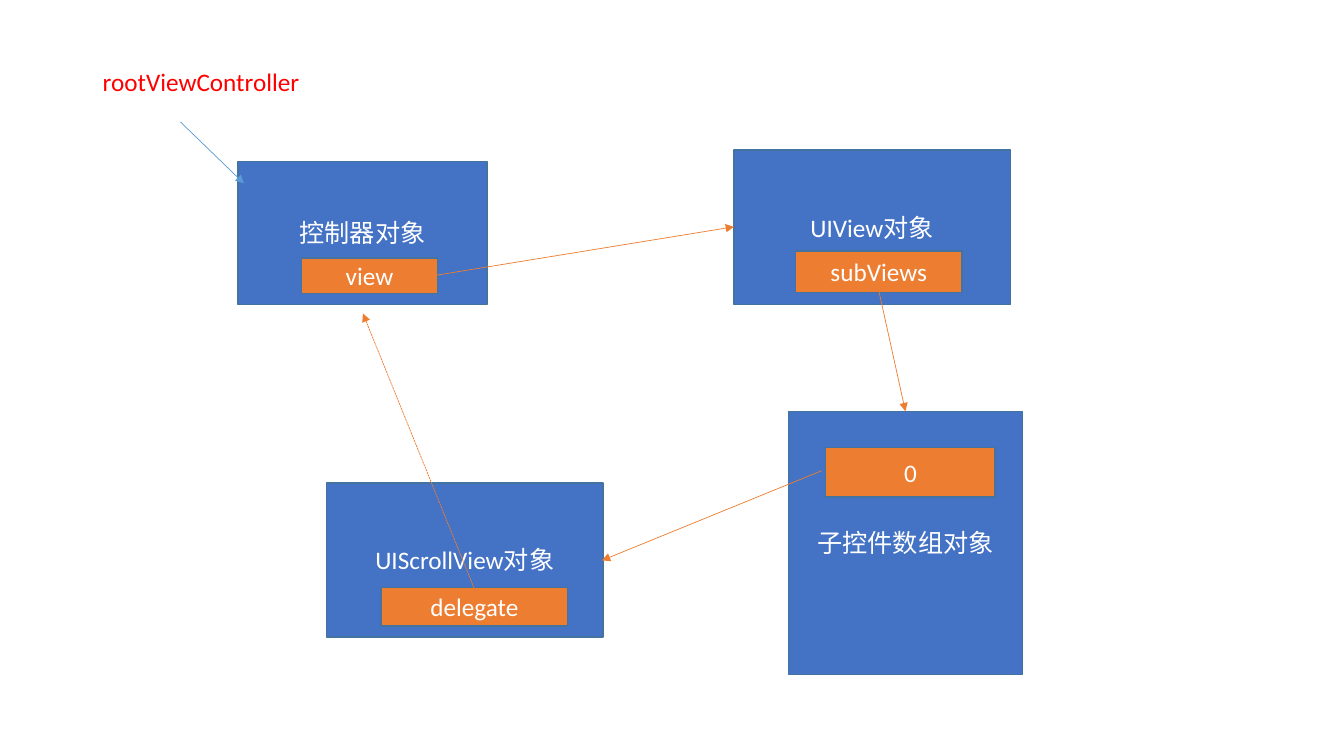
from lxml import etree
from pptx import Presentation
from pptx import util as u
from pptx.dml.color import RGBColor
from pptx.enum import dml, shapes, text
from pptx.oxml.ns import qn

BLUE = RGBColor(0x44, 0x72, 0xC4)
ORANGE = RGBColor(0xED, 0x7D, 0x31)
EDGE = RGBColor(0x43, 0x73, 0x9E)
SKY = RGBColor(0x5B, 0x9B, 0xD5)
WHITE = RGBColor(0xFF, 0xFF, 0xFF)
RED = RGBColor(0xFF, 0x00, 0x00)
FONT = {"name": "Calibri", "size": u.Pt(18)}

# Objects and the properties they hold: text, left, top, width, height
OBJECTS = [
    ("控制器对象", 2.36, 1.6, 2.47, 1.42),
    ("UIView对象", 7.28, 1.49, 2.74, 1.53),
    ("子控件数组对象", 7.82, 4.08, 2.32, 2.61),
    ("UIScrollView对象", 3.24, 4.79, 2.74, 1.53),
]
PROPERTIES = [
    ("view", 2.99, 2.56, 1.35, 0.35),
    ("subViews", 7.89, 2.49, 1.65, 0.41),
    ("0", 8.19, 4.44, 1.68, 0.49),
    ("delegate", 3.78, 5.83, 1.85, 0.38),
]

# References: start x, start y, end x, end y, colour, dash
REFERENCES = [
    (1.79, 1.21, 2.42, 1.82, SKY, None),
    (4.33, 2.73, 7.28, 2.25, ORANGE, None),
    (8.72, 2.9, 8.98, 4.08, ORANGE, None),
    (8.15, 4.67, 5.97, 5.56, ORANGE, None),
    (4.7, 5.83, 3.6, 3.11, ORANGE, dml.MSO_LINE.SQUARE_DOT),
]


def inches(*values):
    return [u.Inches(v) for v in values]


def write(tf, words, color):
    p = tf.paragraphs[0]
    r = p.add_run()
    r.text = words
    for key, value in FONT.items():
        setattr(r.font, key, value)
    r.font.color.rgb = color
    return p


def add_box(slide, words, place, fill):
    sp = slide.shapes.add_shape(shapes.MSO_SHAPE.RECTANGLE, *inches(*place))
    sp.shadow.inherit = False
    sp.fill.solid()
    sp.fill.fore_color.rgb = fill
    sp.line.color.rgb = EDGE
    sp.line.width = u.Pt(1)
    tf = sp.text_frame
    tf.word_wrap = True
    tf.vertical_anchor = text.MSO_ANCHOR.MIDDLE
    write(tf, words, WHITE).alignment = text.PP_ALIGN.CENTER


def add_label(slide, words, place, color):
    tf = slide.shapes.add_textbox(*inches(*place)).text_frame
    tf.word_wrap = True
    tf.auto_size = text.MSO_AUTO_SIZE.SHAPE_TO_FIT_TEXT
    write(tf, words, color)


def add_arrow(slide, ends, color, dash):
    line = slide.shapes.add_connector(shapes.MSO_CONNECTOR.STRAIGHT, *inches(*ends))
    line.line.color.rgb = color
    line.line.width = u.Pt(0.5)
    if dash:
        line.line.dash_style = dash
    # Arrowhead at the end, no shadow
    etree.SubElement(line.line._get_or_add_ln(), qn("a:tailEnd"), type="triangle")
    etree.SubElement(line._element.spPr, qn("a:effectLst"))


def main():
    prs = Presentation()
    prs.slide_width, prs.slide_height = inches(13.33, 7.5)
    slide = prs.slides.add_slide(prs.slide_layouts[6])

    # Objects, with their properties on top
    for fill, boxes in ((BLUE, OBJECTS), (ORANGE, PROPERTIES)):
        for words, *place in boxes:
            add_box(slide, words, place, fill)

    # Entry point and references
    add_label(slide, "rootViewController", (0.92, 0.61, 2.19, 0.4), RED)
    for *ends, color, dash in REFERENCES:
        add_arrow(slide, ends, color, dash)

    prs.save("out.pptx")


main()
